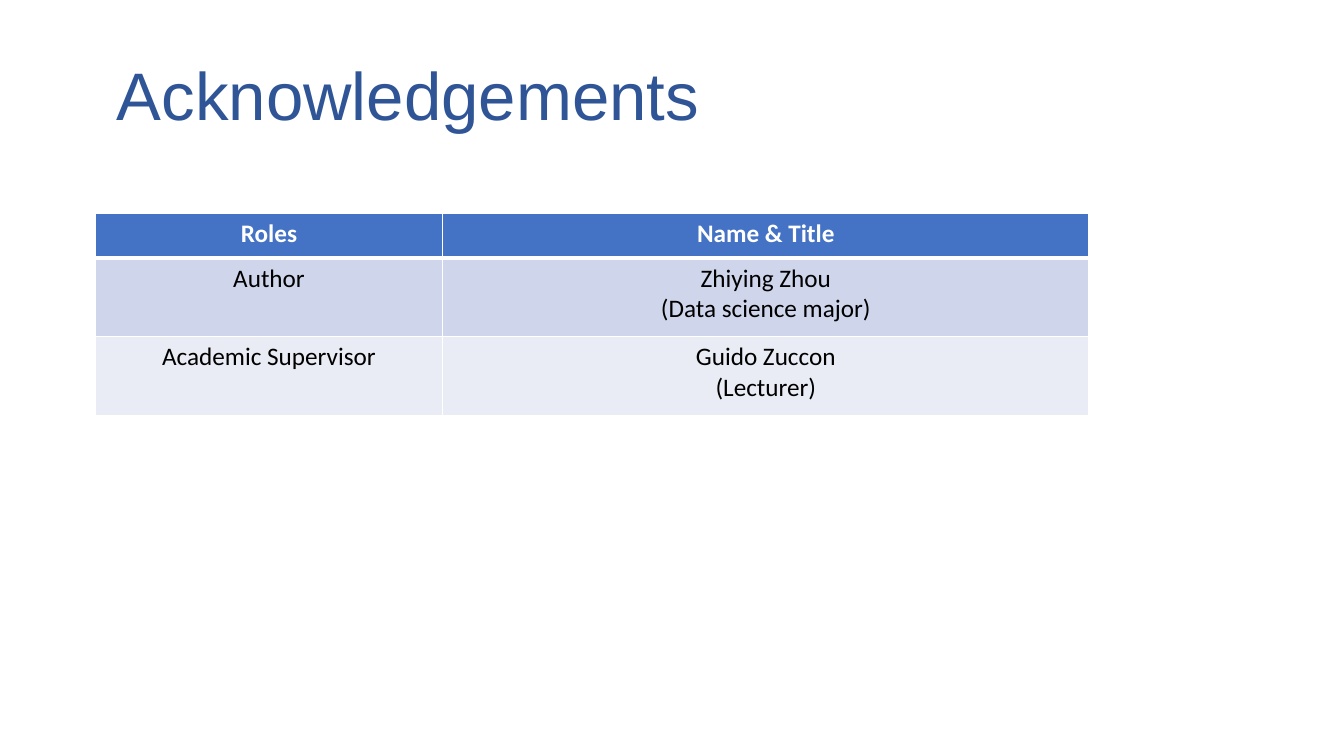
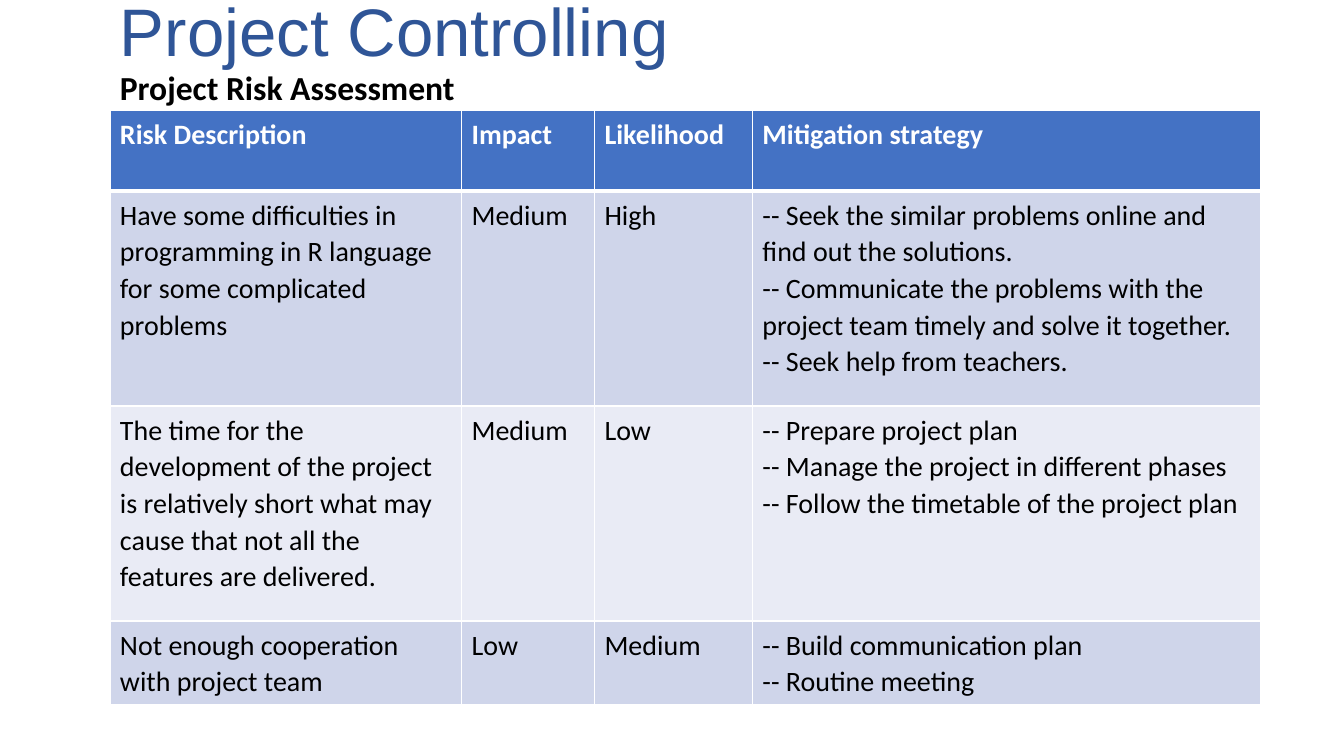
from dataclasses import dataclass

from lxml import etree
from pptx import Presentation
from pptx import util as u
from pptx.dml.color import RGBColor
from pptx.enum import text
from pptx.oxml import ns
from pptx.slide import Slide
from pptx.table import _Cell as Cell

TITLE_BLUE = RGBColor(0x2F, 0x55, 0x97)
HEADER_BLUE = RGBColor(0x44, 0x72, 0xC4)
BAND_DARK = RGBColor(0xCF, 0xD5, 0xEA)
BAND_LIGHT = RGBColor(0xE9, 0xEB, 0xF5)
WHITE = RGBColor(0xFF, 0xFF, 0xFF)
BLACK = RGBColor(0, 0, 0)
TITLE_FONT = "Arial"
BODY_FONT = "Calibri"
LEFT = text.PP_ALIGN.LEFT
CENTER = text.PP_ALIGN.CENTER


@dataclass(frozen=True)
class Frame:
    left: float
    top: float
    width: float
    height: float


@dataclass(frozen=True)
class Grid:
    left: float
    top: float
    columns: tuple[float, ...]
    heights: tuple[float, ...]
    rows: tuple[tuple[str, ...], ...]
    size: int
    align: text.PP_ALIGN
    spacing: float


def style_text(frame, size: int, font: str, color: RGBColor, bold: bool,
               align: text.PP_ALIGN, spacing: float) -> None:
    for para in frame.paragraphs:
        para.alignment = align
        para.line_spacing = spacing
        para.font.size = u.Pt(size)
        para.font.name = font
        para.font.bold = bold
        para.font.color.rgb = color


def fill_box(box, words: str, frame: Frame, anchor: text.MSO_ANCHOR) -> None:
    box.left, box.top = u.Cm(frame.left), u.Cm(frame.top)
    box.width, box.height = u.Cm(frame.width), u.Cm(frame.height)
    box.text_frame.text = words
    box.text_frame.word_wrap = True
    box.text_frame.auto_size = text.MSO_AUTO_SIZE.NONE
    box.text_frame.margin_top = box.text_frame.margin_bottom = 0
    box.text_frame.vertical_anchor = anchor


def add_titled_page(deck, title: str, frame: Frame) -> Slide:
    page = deck.slides.add_slide(deck.slide_layouts.get_by_name("Title Only"))
    box = page.shapes.title
    fill_box(box, title, frame, text.MSO_ANCHOR.BOTTOM)
    style_text(box.text_frame, 48, TITLE_FONT, TITLE_BLUE, False, LEFT, 0.9)
    return page


def add_subtitle(page: Slide, subtitle: str, frame: Frame) -> None:
    box = page.shapes.add_textbox(0, 0, 0, 0)
    fill_box(box, subtitle, frame, text.MSO_ANCHOR.TOP)
    style_text(box.text_frame, 24, BODY_FONT, BLACK, True, LEFT, 0.9)


def add_borders(cell: Cell, widths: dict[str, int]) -> None:
    properties = cell._tc.get_or_add_tcPr()
    for side, width in widths.items():
        line = etree.SubElement(properties, ns.qn(f"a:ln{side}"), w=str(u.Pt(width)))
        fill = etree.SubElement(line, ns.qn("a:solidFill"))
        etree.SubElement(fill, ns.qn("a:srgbClr"), val=str(WHITE))


def fill_cell(cell: Cell, words: str, row: int, grid: Grid) -> None:
    header = row == 0
    if header:
        add_borders(cell, {"L": 1, "R": 1, "T": 1, "B": 3})
        background = HEADER_BLUE
    else:
        add_borders(cell, {"L": 1, "R": 1, "B": 1})
        background = BAND_DARK if row % 2 else BAND_LIGHT
    cell.fill.solid()
    cell.fill.fore_color.rgb = background
    cell.text_frame.text = words
    style_text(cell.text_frame, grid.size, BODY_FONT, WHITE if header else BLACK,
               header, grid.align, grid.spacing)


def add_grid(page: Slide, grid: Grid) -> None:
    table = page.shapes.add_table(
        len(grid.rows), len(grid.columns), u.Cm(grid.left), u.Cm(grid.top),
        u.Cm(sum(grid.columns)), u.Cm(sum(grid.heights))).table
    for column, width in zip(table.columns, grid.columns):
        column.width = u.Cm(width)
    for row, (height, entries) in enumerate(zip(grid.heights, grid.rows)):
        table.rows[row].height = u.Cm(height)
        for column, words in enumerate(entries):
            fill_cell(table.cell(row, column), words, row, grid)


ROLES = Grid(
    left=2.4, top=5.38, columns=(8.76, 16.28), heights=(1.12, 1.98, 1.98),
    rows=(
        ("Roles", "Name & Title"),
        ("Author", "Zhiying Zhou\n(Data science major)"),
        ("Academic Supervisor", "Guido Zuccon\n(Lecturer)"),
    ),
    size=18, align=CENTER, spacing=1.0)

RISKS = Grid(
    left=2.77, top=2.77, columns=(8.86, 3.35, 3.98, 12.8),
    heights=(2.04, 5.42, 5.42, 2.04),
    rows=(
        ("Risk Description", "Impact", "Likelihood", "Mitigation strategy"),
        ("Have some difficulties in programming in R language for some "
         "complicated problems", "Medium", "High",
         "-- Seek the similar problems online and find out the solutions.\n"
         "-- Communicate the problems with the project team timely and solve "
         "it together.\n"
         "-- Seek help from teachers."),
        ("The time for the development of the project is relatively short what "
         "may cause that not all the features are delivered.", "Medium", "Low",
         "-- Prepare project plan\n"
         "-- Manage the project in different phases\n"
         "-- Follow the timetable of the project plan"),
        ("Not enough cooperation with project team", "Low", "Medium",
         "-- Build communication plan\n-- Routine meeting"),
    ),
    size=20, align=LEFT, spacing=1.07)

deck = Presentation()
deck.slide_width, deck.slide_height = u.Cm(33.87), u.Cm(19.05)

acknowledgements = add_titled_page(
    deck, "Acknowledgements", Frame(2.69, 0.23, 20.17, 3.17))
add_grid(acknowledgements, ROLES)

controlling = add_titled_page(
    deck, "Project Controlling", Frame(2.77, 0, 15.01, 1.8))
add_subtitle(controlling, "Project Risk Assessment", Frame(2.77, 1.8, 23.29, 0.97))
add_grid(controlling, RISKS)

deck.save("out.pptx")
